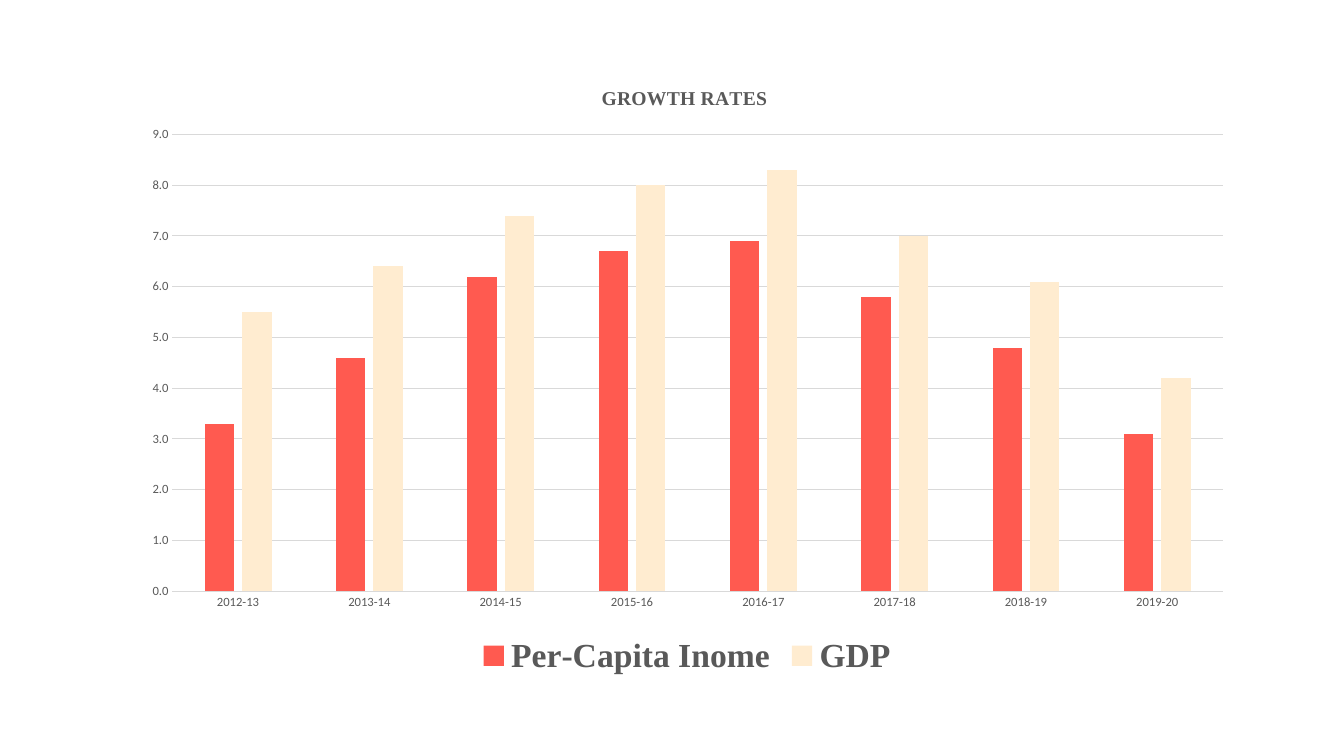
import lxml.etree
import pptx
import pptx.chart.data
import pptx.dml.color
import pptx.enum.chart
import pptx.oxml.ns
import pptx.util

RGBColor = pptx.dml.color.RGBColor
Inches = pptx.util.Inches
Pt = pptx.util.Pt
enum = pptx.enum.chart
qn = pptx.oxml.ns.qn

GREY = RGBColor(0x59, 0x59, 0x59)
RULE = RGBColor(0xD9, 0xD9, 0xD9)
RED = RGBColor(0xFF, 0x5A, 0x50)
CREAM = RGBColor(0xFF, 0xEC, 0xD0)
BLACK = RGBColor(0, 0, 0)

YEARS = [f"{year}-{year % 100 + 1}" for year in range(2012, 2020)]
RATES = [
    ("Per-Capita Inome", RED, (3.3, 4.6, 6.2, 6.7, 6.9, 5.8, 4.8, 3.1)),
    ("GDP", CREAM, (5.5, 6.4, 7.4, 8, 8.3, 7, 6.1, 4.2)),
]


class Deck:
    """Holds the chart style and the current slide."""

    base = {"name": "Calibri", "size": Pt(10)}
    tick = {"name": "Calibri", "size": Pt(9), "bold": False}
    head = {"name": "Times New Roman", "size": Pt(14), "bold": True}
    key = {"name": "Times New Roman", "size": Pt(24), "bold": True}

    def __init__(self):
        self.show = pptx.Presentation()
        self.show.slide_width = Inches(13.33)
        self.show.slide_height = Inches(7.5)
        self.slide = self.show.slides.add_slide(self.show.slide_layouts[6])

    def put(self, item, form):
        for name, value in form.items():
            setattr(item, name, value)

    def font(self, font, form, color=GREY):
        self.put(font, form)
        font.color.rgb = color

    def rule(self, line):
        line.color.rgb = RULE
        line.width = Pt(0.75)

    def place(self, owner, index, form):
        for old in owner.findall(qn("c:layout")):
            owner.remove(old)
        layout = lxml.etree.Element(qn("c:layout"))
        manual = lxml.etree.SubElement(layout, qn("c:manualLayout"))
        for name, value in form.items():
            lxml.etree.SubElement(manual, qn(f"c:{name}")).set("val", str(value))
        owner.insert(index, layout)

    def columns(self, box, title, cats, series):
        data = pptx.chart.data.CategoryChartData(number_format="#,##0.0")
        data.categories = cats
        for name, _, values in series:
            data.add_series(name, values)
        kind = enum.XL_CHART_TYPE.COLUMN_CLUSTERED
        chart = self.slide.shapes.add_chart(kind, *map(Inches, box), data).chart
        self.font(chart.font, self.base, BLACK)
        plot = chart.plots[0]
        self.put(plot, {"gap_width": 219, "overlap": -27, "vary_by_categories": False})
        for item, (_, color, _) in zip(plot.series, series):
            item.invert_if_negative = False
            item.format.fill.solid()
            item.format.fill.fore_color.rgb = color
        self.title(chart, title)
        self.axes(chart)
        self.legend(chart)
        edge = {"xMode": "edge", "yMode": "edge"}
        root = chart.element if hasattr(chart, "element") else chart._chartSpace
        self.place(root.find(".//" + qn("c:plotArea")), 0,
                   {"layoutTarget": "inner", **edge,
                    "x": 0.038, "y": 0.115, "w": 0.943, "h": 0.739})
        self.place(root.find(".//" + qn("c:title")), 1,
                   {**edge, "x": 0.42, "y": 0.03})

    def title(self, chart, text):
        chart.has_title = True
        chart.chart_title.include_in_layout = False
        run = chart.chart_title.text_frame.paragraphs[0].add_run()
        run.text = text
        self.font(run.font, self.head)

    def axes(self, chart):
        none = enum.XL_TICK_MARK.NONE
        for axis in (chart.category_axis, chart.value_axis):
            self.put(axis, {"major_tick_mark": none, "minor_tick_mark": none})
            self.font(axis.tick_labels.font, self.tick)
        self.rule(chart.category_axis.format.line)
        rate = chart.value_axis
        self.put(rate, {"minimum_scale": 0, "maximum_scale": 9,
                        "major_unit": 1, "has_major_gridlines": True})
        self.put(rate.tick_labels, {"number_format": "#,##0.0",
                                    "number_format_is_linked": False})
        rate.format.line.fill.background()
        self.rule(rate.major_gridlines.format.line)

    def legend(self, chart):
        chart.has_legend = True
        self.put(chart.legend, {"position": enum.XL_LEGEND_POSITION.BOTTOM,
                                "include_in_layout": False})
        self.font(chart.legend.font, self.key)


def main():
    deck = Deck()
    deck.columns((1.29, 0.63, 11.05, 6.13), "GROWTH RATES", YEARS, RATES)
    deck.show.save("out.pptx")


if __name__ == "__main__":
    main()
